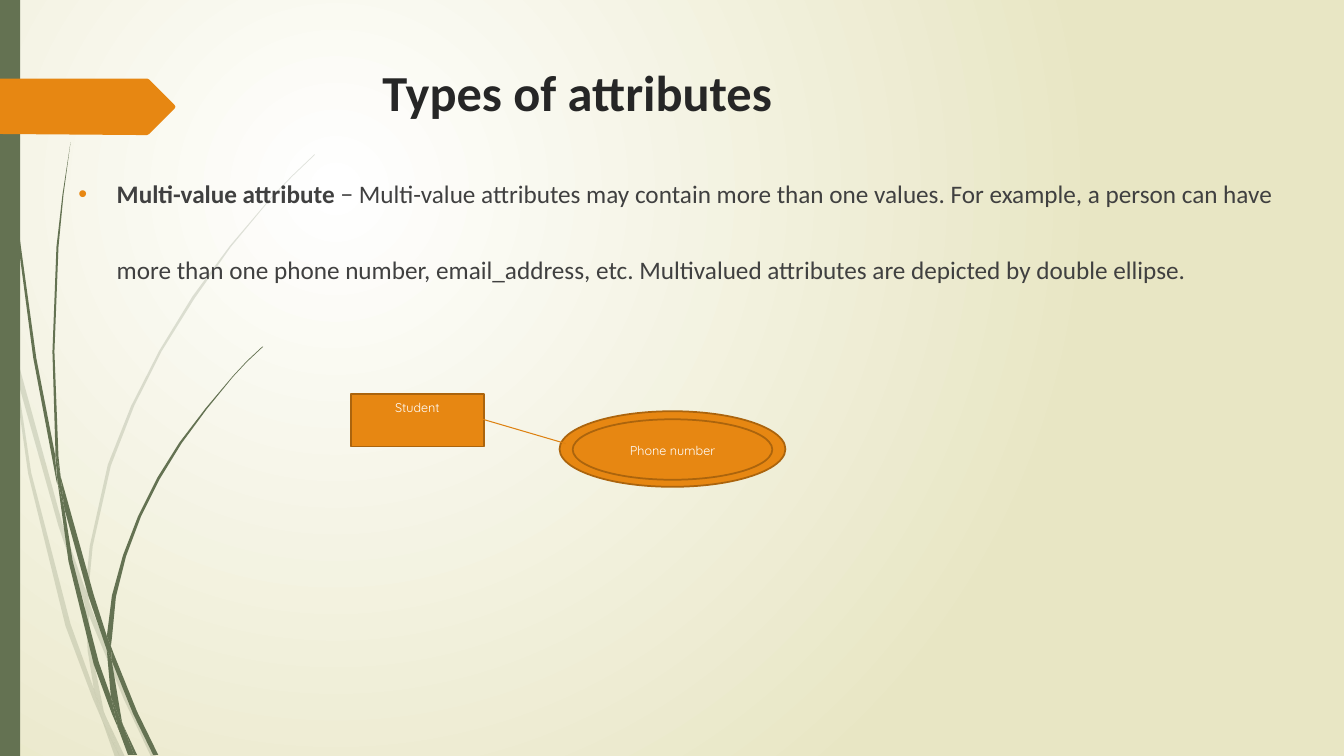
from lxml.etree import SubElement
from pptx import Presentation
from pptx.dml.color import RGBColor
from pptx.enum.shapes import MSO_CONNECTOR, MSO_SHAPE
from pptx.enum.text import MSO_ANCHOR, PP_ALIGN
from pptx.oxml.ns import qn
from pptx.util import Inches, Pt

GREEN, ORANGE, BROWN = "647252", "E78712", "AB640D"

# Outlines in hundredths of an inch, as x,y pairs.
PALE = [
    "11,350 9,322 0,282 0,299 10,344",
    "58,522 84,599 85,586 62,520 14,345 17,376",
    "92,607 88,596 88,610 123,694 150,751 155,751 127,692",
    "119,751 124,751 105,711",
    "93,683 70,619 31,469 17,376 11,350 28,470 65,621 92,693 101,714 99,707",
    "84,599 87,646 93,683 96,692 105,711 103,706 91,646 88,610 88,608",
    "88,584 92,542 110,462 133,403 160,349 193,296 229,245 268,198 290,175 312,154 "
    "312,153 289,175 268,197 228,244 191,294 158,348 130,403 107,461 89,542 85,584 "
    "85,586 88,596",
    "101,714 114,751 119,751",
    "88,608 88,610 88,596 85,586 84,599",
    "96,692 93,683 99,707 101,714 119,751 105,711",
]
DARK = [
    "7,110 17,233 33,355 56,477 57,481 55,457 55,453 36,355 19,232 8,109 5,48 4,0 3,0 4,48",
    "88,592 106,645 106,633 106,631 93,590 60,472 64,505",
    "113,649 110,641 111,656 132,708 152,749 157,749 136,706",
    "110,691 98,657 72,556 64,505 57,477 68,557 93,659 111,708 117,722 116,717",
    "60,472 58,453 54,349 58,245 63,193 70,141 62,193 56,245 52,349 55,449",
    "133,749 136,749 122,719",
    "57,477 64,505 60,472 55,449 55,453",
    "111,633 115,592 125,552 140,512 158,476 180,440 205,406 231,374 245,359 261,344 "
    "260,344 245,358 231,373 204,405 178,439 156,474 137,512 122,551 111,591 106,631 110,641",
    "117,722 127,749 131,749",
    "106,645 110,691 116,706 122,719 121,716 111,656 109,651",
    "106,645 109,651 111,656 110,641 106,631 106,633",
    "116,706 110,691 116,717 117,722 130,749 133,749 122,719",
]
ARROW = "0,78 146,78 148,79 173,104 174,106 173,108 148,133 146,134 136,134 0,133"


def tint(code):
    return RGBColor.from_string(code)


class Page:
    plain = {"name": "Calibri", "size": Pt(18), "bold": False, "color": "404040"}
    strong = plain | {"bold": True}
    head = {"name": "Calibri", "size": Pt(36), "bold": True, "color": "262626"}
    label = {"name": "Quicksand", "size": Pt(9), "bold": False, "color": "FFFFFF"}

    def __init__(self, deck):
        self.slide = deck.slides.add_slide(deck.slide_layouts[5])
        self.shapes = self.slide.shapes

    def words(self, para, text, style):
        run = para.add_run()
        run.text = text
        for key, value in style.items():
            if key == "color":
                run.font.color.rgb = tint(value)
            else:
                setattr(run.font, key, value)

    def glow(self, inner, outer):
        """Fill the background with a circular gradient."""
        fill = self.slide.background.fill
        fill.gradient()
        for stop, code, place in zip(fill.gradient_stops, (inner, outer), (0, 1)):
            stop.color.rgb = tint(code)
            stop.position = place
        line = self.slide.element.find(".//" + qn("a:lin"))
        ring = SubElement(line.getparent(), qn("a:path"), {"path": "circle"})
        SubElement(ring, qn("a:fillToRect"), l="50000", t="50000", r="100000", b="100000")
        line.getparent().remove(line)

    def paint(self, shape, fill, edge=None):
        shape.shadow.inherit = False
        shape.fill.solid()
        shape.fill.fore_color.rgb = tint(fill)
        if edge:
            shape.line.color.rgb = tint(edge)
            shape.line.width = Pt(1.25)
        else:
            shape.line.fill.background()

    def blade(self, outline, fill, alpha=None):
        """Draw a closed outline, with alpha as a percentage."""
        start, *rest = [tuple(map(int, pair.split(","))) for pair in outline.split()]
        pen = self.shapes.build_freeform(*start, scale=Inches(0.01))
        pen.add_line_segments(rest)
        shape = pen.convert_to_shape()
        self.paint(shape, fill)
        if alpha:
            color = shape._element.spPr.find(".//" + qn("a:srgbClr"))
            SubElement(color, qn("a:alpha"), val=str(alpha * 1000))

    def block(self, kind, box, fill, edge=None, text="", anchor=MSO_ANCHOR.MIDDLE):
        shape = self.shapes.add_shape(kind, *map(Inches, box))
        self.paint(shape, fill, edge)
        if text:
            shape.text_frame.vertical_anchor = anchor
            para = shape.text_frame.paragraphs[0]
            para.alignment = PP_ALIGN.CENTER
            para.line_spacing = 1.07
            self.words(para, text, self.label)

    def title(self, text, box):
        shape = self.shapes.title
        shape.left, shape.top, shape.width, shape.height = map(Inches, box)
        shape.text_frame.vertical_anchor = MSO_ANCHOR.MIDDLE
        para = shape.text_frame.paragraphs[0]
        para.alignment = PP_ALIGN.CENTER
        self.words(para, text, self.head)

    def point(self, term, text, box):
        """Add a bulleted paragraph that opens with a bold term."""
        frame = self.shapes.add_textbox(*map(Inches, box)).text_frame
        frame.word_wrap = True
        para = frame.paragraphs[0]
        props = para._p.get_or_add_pPr()
        props.set("marL", str(Inches(0.38)))
        props.set("indent", str(-Inches(0.38)))
        color = SubElement(props, qn("a:buClr"))
        SubElement(color, qn("a:srgbClr"), val=ORANGE)
        SubElement(props, qn("a:buFont"), typeface="Arial")
        SubElement(props, qn("a:buChar"), char="•")
        para.line_spacing = 2.5
        self.words(para, term, self.strong)
        self.words(para, text, self.plain)

    def wire(self, start, end, color):
        line = self.shapes.add_connector(MSO_CONNECTOR.STRAIGHT, *map(Inches, start + end))
        line.line.color.rgb = tint(color)
        line.line.width = Pt(0.75)
        SubElement(line._element.spPr, qn("a:effectLst"))


def main():
    deck = Presentation()
    deck.slide_width, deck.slide_height = Inches(13.33), Inches(7.5)
    page = Page(deck)
    page.glow("FFFFFF", "E8E6C4")
    for outline in PALE:
        page.blade(outline, GREEN, 20)
    for outline in DARK:
        page.blade(outline, GREEN)
    page.block(MSO_SHAPE.RECTANGLE, (0, 0, 0.2, 7.5), GREEN)
    page.blade(ARROW, ORANGE)

    page.title("Types of attributes", (2.5, 0.52, 6.45, 0.78))
    page.point(
        "Multi-value attribute",
        " − Multi-value attributes may contain more than one values. For example, a person "
        "can have more than one phone number, email_address, etc. Multivalued attributes "
        "are depicted by double ellipse.",
        (0.68, 1.27, 12.14, 5.56),
    )

    page.block(MSO_SHAPE.RECTANGLE, (3.48, 3.91, 1.32, 0.52), ORANGE, BROWN,
               "Student", MSO_ANCHOR.TOP)
    page.block(MSO_SHAPE.OVAL, (5.55, 4.08, 2.24, 0.75), ORANGE, BROWN)
    page.block(MSO_SHAPE.OVAL, (5.68, 4.16, 1.98, 0.6), ORANGE, BROWN, "Phone number")
    page.wire((4.79, 4.16), (5.61, 4.4), "DD8111")
    deck.save("out.pptx")


if __name__ == "__main__":
    main()
